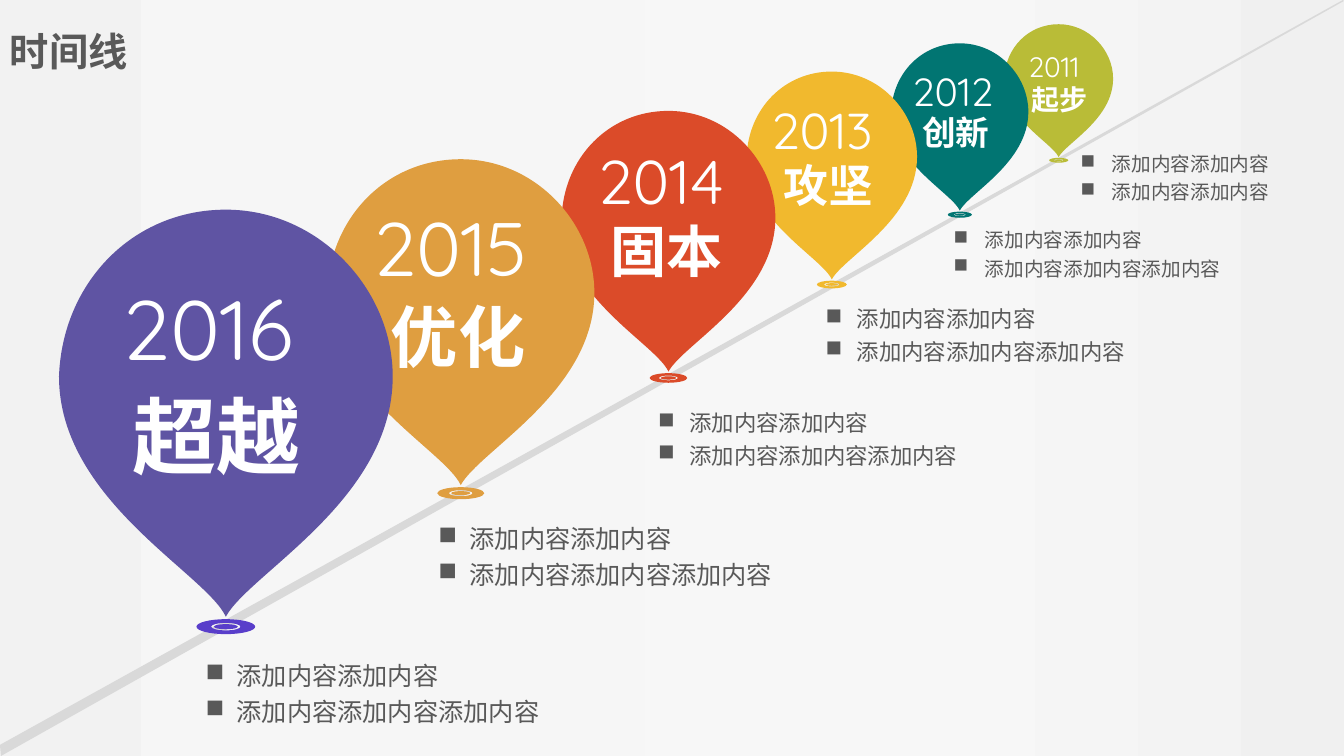
from lxml import etree
from pptx import Presentation
from pptx.dml.color import RGBColor
from pptx.enum.shapes import MSO_SHAPE
from pptx.enum.text import MSO_AUTO_SIZE, PP_ALIGN
from pptx.oxml.ns import qn
from pptx.util import Inches, Pt

ELLIPSE = MSO_SHAPE.OVAL
GROW = MSO_AUTO_SIZE.SHAPE_TO_FIT_TEXT
JUSTIFY = PP_ALIGN.JUSTIFY

SLIDE_W, SLIDE_H = 13.33, 7.5
TITLE = "时间线"
CJK_FONT, YEAR_FONT, WORD_FONT = "Noto Sans CJK SC", "Quicksand", "Calibri"
COLORS = {
    "text": "595959", "white": "FFFFFF", "road": "D9D9D9",
    "lime": "B9BC37", "teal": "017572", "yellow": "F1B92E", "red": "DB4B29",
    "orange": "DF9E40", "purple": "5F54A3", "violet": "593ECA",
}
BACKGROUND = [(0, "F2F2F2"), (21, "F6F6F6"), (48, "F7F7F7"), (77, "F5F5F5"), (100, "F0F0F0")]
SHORT, LONG = "添加内容添加内容", "添加内容添加内容添加内容"

# Farthest first. pin: tip x, top, width; labels: left, top, size; notes: left, top, size
MILESTONES = [
    {"year": "2011", "word": "起步", "pin": (10.5, 0.24, 1.08), "color": "lime", "ring": "lime",
     "year_at": (10.1, 0.44, 20), "word_at": (10.13, 0.77, 20),
     "notes": [SHORT, SHORT], "notes_at": (10.62, 1.41, 14)},
    {"year": "2012", "word": "创新", "pin": (9.52, 0.43, 1.36), "color": "teal", "ring": "teal",
     "year_at": (8.95, 0.62, 28), "word_at": (9.05, 1.06, 24),
     "notes": [SHORT, LONG], "notes_at": (9.36, 2.17, 14)},
    {"year": "2013", "word": "攻坚", "pin": (8.25, 0.71, 1.69), "color": "yellow", "ring": "yellow",
     "year_at": (7.55, 0.93, 36), "word_at": (7.67, 1.52, 32),
     "notes": [SHORT, LONG], "notes_at": (8.09, 2.93, 16)},
    {"year": "2014", "word": "固本", "pin": (6.63, 1.1, 2.12), "color": "red", "ring": "red",
     "year_at": (5.83, 1.37, 44), "word_at": (5.96, 2.1, 40),
     "notes": [SHORT, LONG], "notes_at": (6.43, 3.96, 16)},
    {"year": "2015", "word": "优化", "pin": (4.57, 1.58, 2.65), "color": "orange", "ring": "orange",
     "year_at": (3.61, 1.94, 54), "word_at": (3.78, 2.88, 48),
     "notes": [SHORT, LONG], "notes_at": (4.25, 5.08, 18)},
    {"year": "2016", "word": "超越", "pin": (2.24, 2.08, 3.31), "color": "purple", "ring": "violet",
     "year_at": (1.12, 2.69, 60), "word_at": (1.22, 3.77, 60),
     "notes": [SHORT, LONG], "notes_at": (1.94, 6.44, 18)},
]
BEHIND_ROAD = 4
ROAD = [(13.32, 0), (0, 7.39), (0.01, 7.5), (13.33, 0.01)]

# Curves: a start point, then two control points and an end point per arc.
# The pin is in units of its width, from the tip's x and the pin's top.
PIN_HEIGHT = 1.22
PIN = [(0, PIN_HEIGHT), (-0.06, 1.09), (-0.5, 0.87), (-0.5, 0.5),
       (-0.49, 0.22), (-0.28, 0), (0, 0),
       (0.28, 0), (0.5, 0.24), (0.5, 0.5),
       (0.5, 0.87), (0.07, 1.09), (0, PIN_HEIGHT)]
CIRCLE = [(-1, 0), (-1, -0.55), (-0.55, -1), (0, -1),
          (0.55, -1), (1, -0.55), (1, 0),
          (1, 0.55), (0.55, 1), (0, 1),
          (-0.55, 1), (-1, 0.55), (-1, 0)]


def rgb(name):
    return RGBColor.from_string(COLORS[name])


def paint(shape, color):
    shape.shadow.inherit = False
    shape.fill.solid()
    shape.fill.fore_color.rgb = rgb(color)
    shape.line.fill.background()


def add_outline(slide, contours, color):
    """Fill closed contours given in inches; an inner contour becomes a hole."""
    contours = [[(Inches(x), Inches(y)) for x, y in points] for points in contours]
    builder = slide.shapes.build_freeform(*contours[0][0], scale=1.0)
    for number, points in enumerate(contours):
        if number:
            builder.move_to(*points[0])
        builder.add_line_segments(points[1:], close=True)
    outline = builder.convert_to_shape()
    paint(outline, color)
    return outline


def bend(outline):
    """Turn every three straight segments into one cubic curve."""
    segments = list(outline._element.iter(qn("a:lnTo")))
    for first in range(0, len(segments), 3):
        curve = etree.Element(qn("a:cubicBezTo"))
        segments[first].addprevious(curve)
        for segment in segments[first:first + 3]:
            curve.append(segment[0])
            segment.getparent().remove(segment)


def add_pin(slide, milestone):
    tip_x, top, width = milestone["pin"]
    points = [(tip_x + x * width, top + y * width) for x, y in PIN]
    bend(add_outline(slide, [points], milestone["color"]))


def add_ring(slide, milestone):
    """Flat target under the pin's tip: a ring around a small ellipse."""
    tip_x, top, pin_w = milestone["pin"]
    center_y = top + (PIN_HEIGHT + 0.03) * pin_w
    ring_w, ring_h = 0.176 * pin_w, 0.045 * pin_w
    rim, hole = ([(tip_x + x * scale * ring_w / 2, center_y + y * scale * ring_h / 2)
                  for x, y in CIRCLE] for scale in (1, 0.5))
    bend(add_outline(slide, [rim, hole[::-1]], milestone["ring"]))
    core_w, core_h = 0.41 * ring_w, 0.34 * ring_h
    core = slide.shapes.add_shape(ELLIPSE, Inches(tip_x - core_w / 2), Inches(center_y - core_h / 2),
                                  Inches(core_w), Inches(core_h))
    paint(core, milestone["ring"])


def add_run(paragraph, text, font, size, color, bold=False):
    run = paragraph.add_run()
    run.text = text
    run.font.name, run.font.size, run.font.bold = font, Pt(size), bold
    run.font.color.rgb = rgb(color)
    etree.SubElement(run.font._element, qn("a:ea"), typeface=CJK_FONT)


def add_label(slide, text, place, font, color, char_width, bold=False):
    """One unwrapped line; char_width is in inches per point of size."""
    left, top, size = place
    box = slide.shapes.add_textbox(Inches(left), Inches(top),
                                   Inches(0.2 + len(text) * char_width * size),
                                   Inches(0.1 + 0.0168 * size))
    box.text_frame.word_wrap = False
    box.text_frame.auto_size = GROW
    add_run(box.text_frame.paragraphs[0], text, font, size, color, bold)


def add_notes(slide, milestone):
    left, top, size = milestone["notes_at"]
    box = slide.shapes.add_textbox(Inches(left), Inches(top), Inches(min(5.64, SLIDE_W - left)),
                                   Inches(0.1 + 0.0405 * size))
    frame = box.text_frame
    frame.word_wrap = True
    frame.auto_size = GROW
    for number, note in enumerate(milestone["notes"]):
        paragraph = frame.add_paragraph() if number else frame.paragraphs[0]
        paragraph.alignment = JUSTIFY
        paragraph.line_spacing = 1.2
        properties = paragraph._p.get_or_add_pPr()
        properties.set("marL", str(Inches(0.31)))
        properties.set("indent", str(-Inches(0.31)))
        etree.SubElement(properties, qn("a:buChar"), char="■")
        add_run(paragraph, note, CJK_FONT, size, "text")


def set_background(slide):
    fill = slide.background.fill
    fill.gradient()
    fill.gradient_angle = 0
    stops = slide._element.find(".//" + qn("a:gsLst"))
    for stop in list(stops):
        stops.remove(stop)
    for percent, color in BACKGROUND:
        stop = etree.SubElement(stops, qn("a:gs"), pos=str(percent * 1000))
        etree.SubElement(stop, qn("a:srgbClr"), val=color)


def main():
    deck = Presentation()
    deck.slide_width, deck.slide_height = Inches(SLIDE_W), Inches(SLIDE_H)
    slide = deck.slides.add_slide(deck.slide_layouts[6])
    set_background(slide)
    for milestone in MILESTONES[:BEHIND_ROAD]:
        add_pin(slide, milestone)
    add_outline(slide, [ROAD], "road")
    for milestone in MILESTONES[BEHIND_ROAD:]:
        add_pin(slide, milestone)
    for milestone in MILESTONES:
        add_ring(slide, milestone)
        add_notes(slide, milestone)
        add_label(slide, milestone["year"], milestone["year_at"], YEAR_FONT, "white", 0.0079)
        add_label(slide, milestone["word"], milestone["word_at"], WORD_FONT, "white", 0.014, True)
    add_label(slide, TITLE, (0, 0.22, 28), WORD_FONT, "text", 0.014, True)
    deck.save("out.pptx")


if __name__ == "__main__":
    main()
